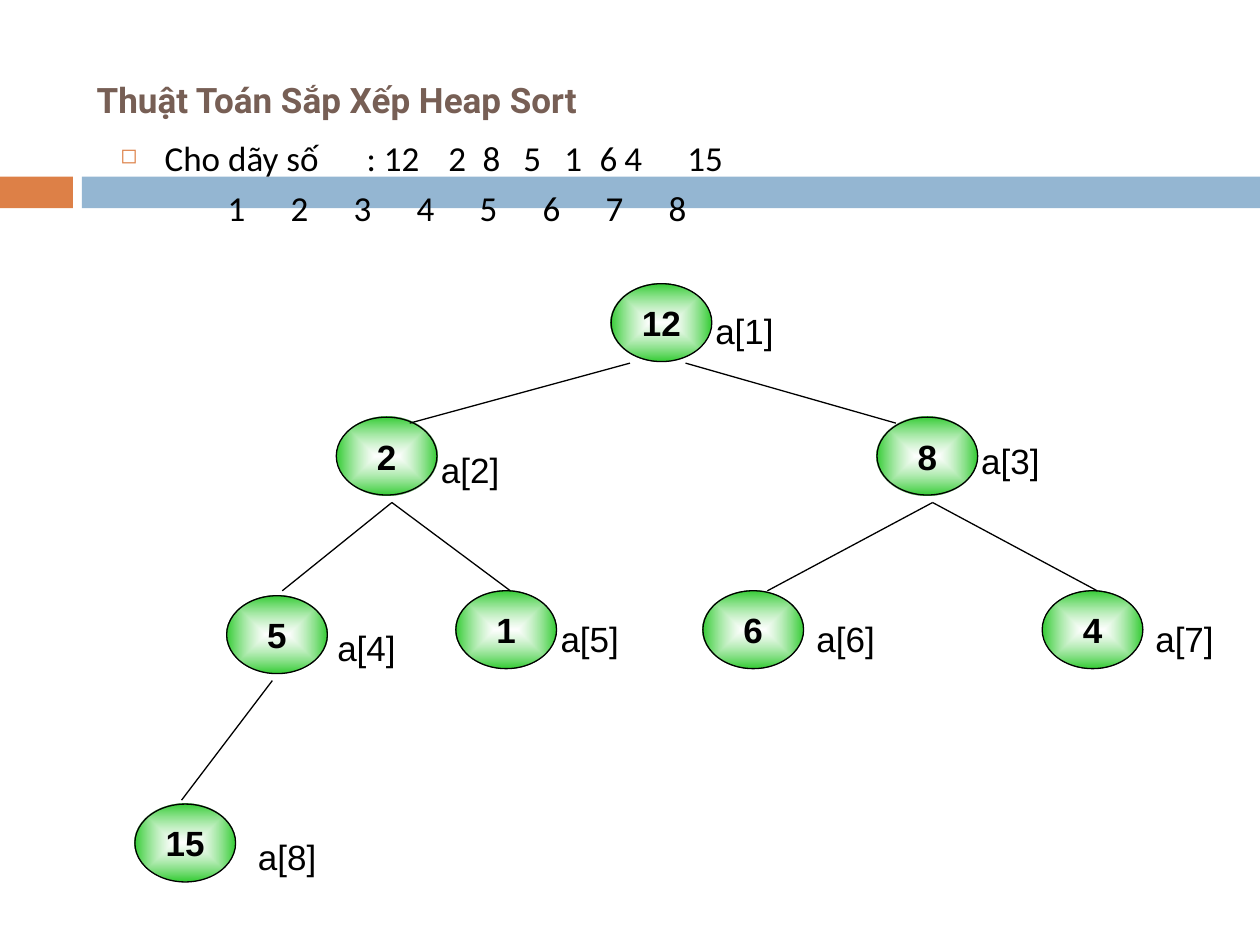
from pptx import Presentation
from pptx.dml.color import RGBColor as Rgb
from pptx.enum.shapes import MSO_CONNECTOR as Conn, MSO_SHAPE as Kind
from pptx.enum.text import MSO_ANCHOR as Anchor, PP_ALIGN as Align
from pptx.oxml import parse_xml
from pptx.oxml.ns import nsdecls
from pptx.util import Cm, Pt

THEME = {
    "title": "775F55",
    "text": "000000",
    "accent": "DD8047",
    "band": "94B6D2",
    "node": "33CC33",
    "glow": "FFFFFF",
    "size": 20,
    "line": 0.75,
    "head": "Roboto",
    "body": "Calibri",
    "tree": "Arial",
}

TITLE = "Thuật Toán Sắp Xếp Heap Sort"
BANDS = [(0, 1.47, "accent"), (1.65, 23.75, "band")]
ROWS = [
    ("Cho dãy số\t: 12\t2\t8\t5\t1\t6\t4\t15",
     [3.41, 4.96, 5.79, 6.61, 7.3, 8.12, 8.95, 9.66]),
    ("\t1\t2\t3\t4\t5\t6\t7\t8",
     [5.24, 6.53, 7.68, 8.85, 9.84, 11.15, 12.16, 13.31]),
]
NODES = [
    (12, (12.32, 5.72), (14.17, 6.12)),
    (2, (6.78, 8.41), (8.64, 8.92)),
    (8, (17.68, 8.41), (19.53, 8.74)),
    (5, (4.57, 12.01), (6.55, 12.5)),
    (1, (9.19, 11.91), (11.05, 12.32)),
    (6, (14.17, 11.91), (16.21, 12.32)),
    (4, (21.01, 11.91), (23.04, 12.32)),
    (15, (2.72, 16.21), (4.95, 16.71)),
]
EDGES = [
    ((12.7, 7.32), [(8.26, 8.53)]),
    ((13.82, 7.32), [(18.06, 8.53)]),
    ((7.9, 10.13), [(5.69, 11.91), (10.29, 11.91)]),
    ((18.8, 10.13), [(15.47, 11.91), (22.12, 11.91)]),
    ((5.49, 13.72), [(3.66, 16.13)]),
]
NODE_W, NODE_H, LABEL_H = 2.03, 1.57, 1.12
INDENT = 0.89


def color(key):
    return Rgb.from_string(THEME[key])


def make(tag, attrs="", inner=""):
    return parse_xml(f'<a:{tag} {nsdecls("a")} {attrs}>{inner}</a:{tag}>')


def style(para, face, key="text", bold=False):
    for run in para.runs:
        font = run.font
        font.name, font.size, font.bold = THEME[face], Pt(THEME["size"]), bold
        font.color.rgb = color(key)


def add_text(slide, box, text, face, key="text", bold=False, anchor=Anchor.TOP):
    frame = slide.shapes.add_textbox(*map(Cm, box)).text_frame
    frame.word_wrap = True
    frame.vertical_anchor = anchor
    frame.text = text
    style(frame.paragraphs[0], face, key, bold)
    return frame


def add_band(slide, left, width, key):
    band = slide.shapes.add_shape(Kind.RECTANGLE, Cm(left), Cm(3.56), Cm(width), Cm(0.64))
    band.shadow.inherit = False
    band.fill.solid()
    band.fill.fore_color.rgb = color(key)
    band.line.fill.background()


def add_rows(slide):
    frame = add_text(slide, (2.18, 2.72, 22.35, 2.79), ROWS[0][0], "body")
    frame.add_paragraph().text = ROWS[1][0]
    for num, (para, (_, stops)) in enumerate(zip(frame.paragraphs, ROWS)):
        para.line_spacing = 0.9
        para.space_before = Pt(7 if num else 0)
        props = para._p.get_or_add_pPr()
        props.set("marL", str(Cm(INDENT)))
        props.set("indent", str(0 if num else -Cm(INDENT)))
        if num == 0:
            props.append(make("buClr", inner=f'<a:srgbClr val="{THEME["accent"]}"/>'))
            props.append(make("buSzPct", 'val="60000"'))
            props.append(make("buChar", 'char="◻"'))
        tabs = "".join(f'<a:tab pos="{Cm(stop)}" algn="l"/>' for stop in stops)
        props.append(make("tabLst", inner=tabs))
        style(para, "body")


def add_node(slide, value, spot):
    node = slide.shapes.add_shape(Kind.OVAL, *map(Cm, (*spot, NODE_W, NODE_H)))
    node.shadow.inherit = False
    stops = (
        f'<a:gs pos="0"><a:srgbClr val="{THEME["glow"]}"><a:alpha val="60000"/></a:srgbClr></a:gs>'
        f'<a:gs pos="100000"><a:srgbClr val="{THEME["node"]}"/></a:gs>'
    )
    focus = '<a:fillToRect l="50000" t="50000" r="50000" b="50000"/>'
    fill = make("gradFill", inner=f'<a:gsLst>{stops}</a:gsLst><a:path path="rect">{focus}</a:path>')
    node._element.spPr.prstGeom.addnext(fill)
    node.line.color.rgb = color("text")
    node.line.width = Pt(THEME["line"])
    frame = node.text_frame
    frame.word_wrap = False
    frame.vertical_anchor = Anchor.MIDDLE
    frame.text = str(value)
    para = frame.paragraphs[0]
    para.alignment = Align.CENTER
    style(para, "tree", bold=True)


def add_edge(slide, start, end):
    edge = slide.shapes.add_connector(Conn.STRAIGHT, *map(Cm, (*start, *end)))
    edge.line.color.rgb = color("text")
    edge.line.width = Pt(THEME["line"])
    edge._element.spPr.append(make("effectLst"))


def main():
    deck = Presentation()
    deck.slide_width, deck.slide_height = Cm(25.4), Cm(19.05)
    slide = deck.slides.add_slide(deck.slide_layouts[6])
    for band in BANDS:
        add_band(slide, *band)
    add_text(slide, (1.7, 0.64, 22.66, 2.74), TITLE, "head", "title", True, Anchor.MIDDLE)
    add_rows(slide)
    for value, spot, _ in NODES:
        add_node(slide, value, spot)
    for start, ends in EDGES:
        for end in ends:
            add_edge(slide, start, end)
    for num, (_, _, spot) in enumerate(NODES, 1):
        add_text(slide, (*spot, NODE_W, LABEL_H), f"a[{num}]", "tree")
    deck.save("out.pptx")


if __name__ == "__main__":
    main()
